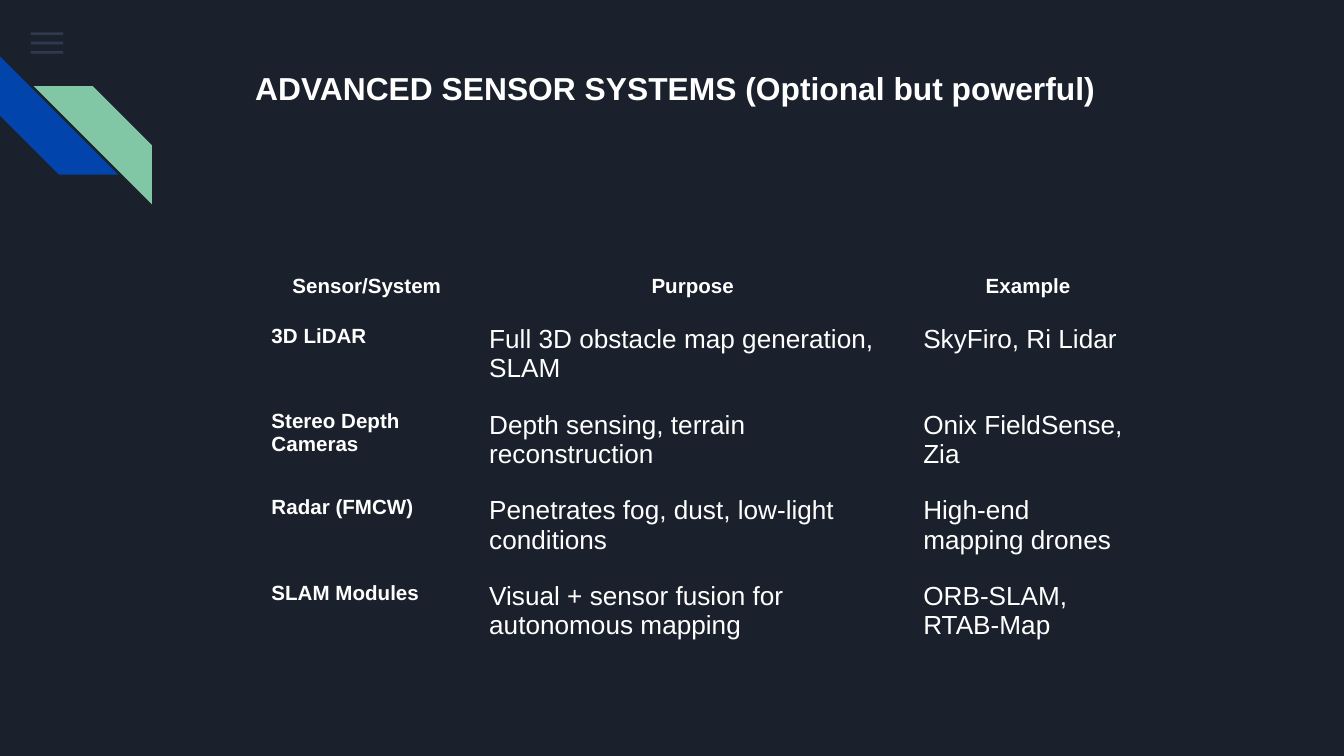
from pptx import Presentation
from pptx import util as u
from pptx.dml.color import RGBColor
from pptx.enum import shapes, text
from pptx.oxml import ns
from lxml import etree

NIGHT = RGBColor(0x1B, 0x21, 0x2C)
SLATE = RGBColor(0x55, 0x68, 0x8B)
BLUE = RGBColor(0x01, 0x45, 0xAC)
GREEN = RGBColor(0x82, 0xC7, 0xA5)
WHITE = RGBColor(0xFF, 0xFF, 0xFF)
FONT = "Arial"
PLAIN_TABLE = "{2D5ABB26-0587-4C30-8999-92F81FD0307C}"
MARGIN = u.Inches(0.1)

SENSORS = [
    ("Sensor/System", "Purpose", "Example"),
    ("3D LiDAR", "Full 3D obstacle map generation, SLAM", "SkyFiro, Ri Lidar"),
    ("Stereo Depth Cameras", "Depth sensing, terrain reconstruction", "Onix FieldSense, Zia"),
    ("Radar (FMCW)", "Penetrates fog, dust, low-light conditions", "High-end mapping drones"),
    ("SLAM Modules", "Visual + sensor fusion for autonomous mapping", "ORB-SLAM, RTAB-Map"),
]


def add_solid(page, kind, box, color):
    shape = page.shapes.add_shape(kind, *map(u.Inches, box))
    shape.shadow.inherit = False
    shape.fill.solid()
    shape.fill.fore_color.rgb = color
    shape.line.fill.background()
    return shape


def style_para(para, size, bold):
    para.font.name = FONT
    para.font.size = u.Pt(size)
    para.font.bold = bold
    para.font.color.rgb = WHITE


def set_margins(target):
    target.margin_left = target.margin_right = MARGIN
    target.margin_top = target.margin_bottom = MARGIN


def add_menu_icon(page, left, top, width, pitch):
    for row in range(3):
        bar = add_solid(page, shapes.MSO_SHAPE.RECTANGLE,
                        (left, top + row * pitch, width, 0.02), SLATE)
        color = bar.fill._xPr.find(".//" + ns.qn("a:srgbClr"))
        etree.SubElement(color, ns.qn("a:alpha"), val="36000")


def add_stripes(page, left, top, size):
    # The green stripe is the blue one turned half round and shifted
    for shift_x, shift_y, turn, color in ((0, 0, 270, BLUE), (0.25, 0.22, 90, GREEN)):
        stripe = add_solid(page, shapes.MSO_SHAPE.DIAGONAL_STRIPE,
                           (left + shift_x, top + shift_y, size, size), color)
        stripe.adjustments[0] = 0.5
        stripe.rotation = turn


def add_title(page, left, top, width, height):
    box = page.shapes.add_textbox(*map(u.Inches, (left, top, width, height)))
    frame = box.text_frame
    frame.word_wrap = True
    frame.vertical_anchor = text.MSO_ANCHOR.MIDDLE
    set_margins(frame)
    para = frame.paragraphs[0]
    para.text = "ADVANCED SENSOR SYSTEMS (Optional but powerful)"
    para.line_spacing = 1.15
    para.space_after = u.Pt(4)
    style_para(para, 17, True)


def add_sensor_table(page, left, top, widths, head_height, row_height):
    height = head_height + row_height * (len(SENSORS) - 1)
    frame = page.shapes.add_table(len(SENSORS), len(widths),
                                  *map(u.Inches, (left, top, sum(widths), height)))
    table = frame.table
    table.horz_banding = False
    table._tbl.tblPr.find(ns.qn("a:tableStyleId")).text = PLAIN_TABLE
    for column, width in zip(table.columns, widths):
        column.width = u.Inches(width)
    for r, words in enumerate(SENSORS):
        table.rows[r].height = u.Inches(row_height if r else head_height)
        for c, word in enumerate(words):
            cell = table.cell(r, c)
            cell.fill.background()
            set_margins(cell)
            para = cell.text_frame.paragraphs[0]
            para.text = word
            label = r == 0 or c == 0
            style_para(para, 11 if label else 14, label)
            if r == 0:
                para.alignment = text.PP_ALIGN.CENTER
                para.line_spacing = 1.15


def main():
    # Widescreen page, 16 to 9
    deck = Presentation()
    deck.slide_width = u.Inches(10)
    deck.slide_height = deck.slide_width * 9 // 16
    page = deck.slides.add_slide(deck.slide_layouts[6])
    page.background.fill.solid()
    page.background.fill.fore_color.rgb = NIGHT

    # Corner decoration
    add_menu_icon(page, 0.23, 0.24, 0.24, 0.07)
    add_stripes(page, 0, 0.42, 0.88)

    # Content
    add_sensor_table(page, 1.92, 1.92, (1.62, 3.23, 1.76), 0.39, 0.63)
    add_title(page, 1.8, 0, 8.2, 1.27)
    deck.save("out.pptx")


if __name__ == "__main__":
    main()
